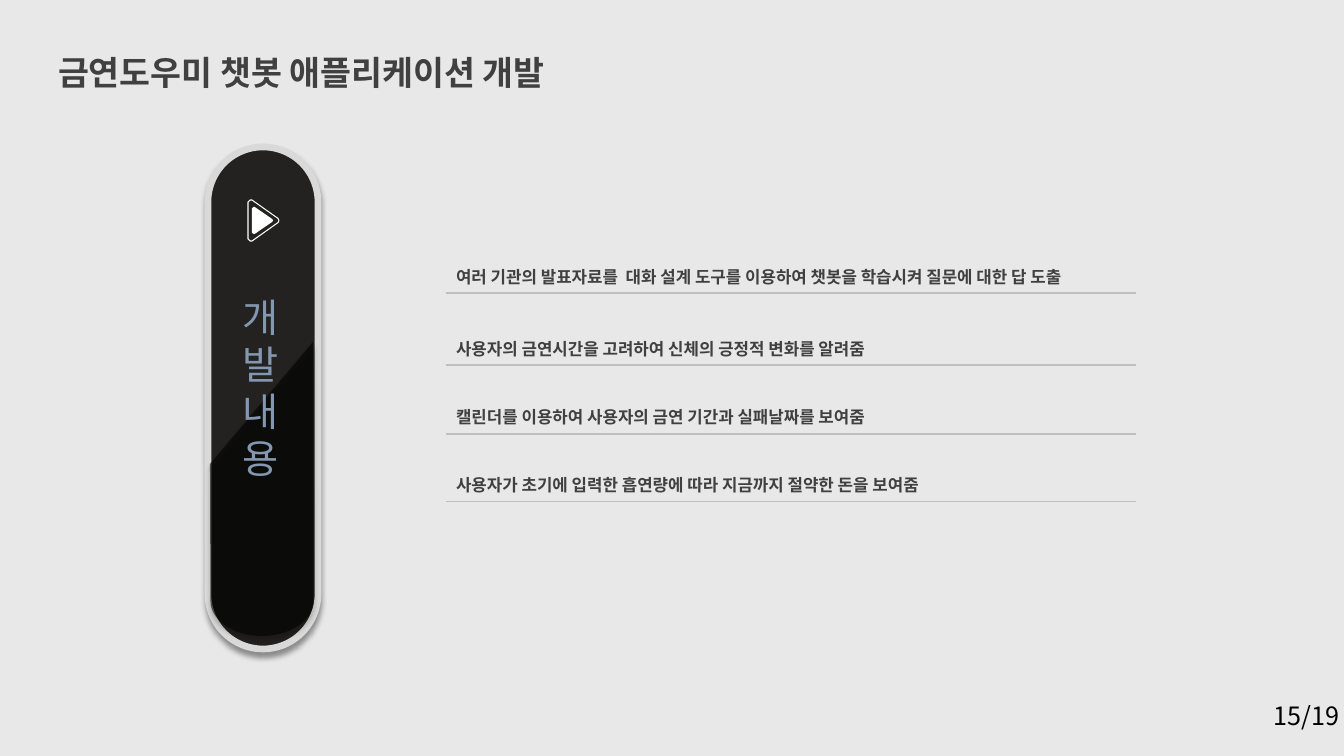
import math

from lxml import etree
from pptx import Presentation
from pptx.dml.color import RGBColor
from pptx.enum import shapes, text
from pptx.oxml import ns
from pptx.util import Pt

EMU_PER_PX = 914400 / 100.8
FONT = "Noto Sans CJK KR"
COLORS = {
    "background": "E8E8E8",
    "dark": "404040",
    "pill": "232220",
    "rim": "D9D9D9",
    "shade": "000000",
    "label": "8497B0",
    "play": "FFFFFF",
    "rule": "BFBFBF",
    "number": "000000",
}
FEATURES = [
    ("여러 기관의 발표자료를  대화 설계 도구를 이용하여 챗봇을 학습시켜 질문에 대한 답 도출", 80),
    ("사용자의 금연시간을 고려하여 신체의 긍정적 변화를 알려줌", 72),
    ("캘린더를 이용하여 사용자의 금연 기간과 실패날짜를 보여줌", 69),
    ("사용자가 초기에 입력한 흡연량에 따라 지금까지 절약한 돈을 보여줌", 68),
]
# Rounded triangle in fractions of its width and height
TRIANGLE = [(0.97, 0.45), (0.13, 0), (0.07, 0), (0, 0.05), (0, 0.95),
            (0.07, 1), (0.13, 1), (0.97, 0.55), (1, 0.5)]


def px(*lengths):
    return [round(length * EMU_PER_PX) for length in lengths]


def color(name):
    return RGBColor.from_string(COLORS[name])


def add_element(parent, tag, **attributes):
    return etree.SubElement(parent, ns.qn(tag), attributes)


def format_text(frame, size, color_name, bold=False, align=None, spacing=None):
    for paragraph in frame.paragraphs:
        paragraph.alignment = align
        paragraph.line_spacing = spacing
        for span in paragraph.runs:
            span.font.size = Pt(size)
            span.font.bold = bold
            span.font.color.rgb = color(color_name)
            span.font.name = FONT
            latin = span.font._element.find(ns.qn("a:latin"))
            east_asian = etree.Element(ns.qn("a:ea"), typeface=FONT)
            latin.addnext(east_asian)


def add_label(page, place, wording, size, color_name, align=None):
    box = page.shapes.add_textbox(*px(*place))
    box.text_frame.word_wrap = True
    box.text_frame.text = wording
    format_text(box.text_frame, size, color_name, align=align)


def set_title(page, wording):
    title = page.shapes.title
    title.left, title.top, title.width, title.height = px(48, 27, 578, 64)
    frame = title.text_frame
    frame.text = wording
    frame.word_wrap = True
    frame.auto_size = text.MSO_AUTO_SIZE.NONE
    frame.vertical_anchor = text.MSO_ANCHOR.TOP
    format_text(frame, 24, "dark", True, text.PP_ALIGN.LEFT, 1.5)


def style_shape(shape, fill=None, line=None, width=0):
    shape.shadow.inherit = False
    if fill:
        shape.fill.solid()
        shape.fill.fore_color.rgb = color(fill)
    else:
        shape.fill.background()
    if line:
        shape.line.color.rgb = color(line)
        shape.line.width = Pt(width)
    else:
        shape.line.fill.background()


def drop_shadow(shape):
    effects = shape._element.spPr.find(ns.qn("a:effectLst"))
    shadow = add_element(effects, "a:outerShdw", blurRad=str(Pt(4)), dist=str(Pt(3)),
                         dir="5400000", algn="t", rotWithShape="0")
    tint = add_element(shadow, "a:srgbClr", val=COLORS["shade"])
    add_element(tint, "a:alpha", val="40000")


def add_outline(parent, points):
    corners = [px(*point) for point in points]
    builder = parent.shapes.build_freeform(*corners[0])
    builder.add_line_segments(corners[1:], close=True)
    return builder.convert_to_shape()


def add_pill(page):
    pill = page.shapes.add_shape(shapes.MSO_SHAPE.ROUNDED_RECTANGLE, *px(208, 147, 110, 502))
    pill.adjustments[0] = 0.5
    style_shape(pill, "pill", "rim", 4.75)
    drop_shadow(pill)

    angles = [math.radians(degrees) for degrees in range(0, 181, 5)]
    bottom = [(262 + 51.5 * math.cos(a), 601 + 35 * math.sin(a)) for a in angles]
    shade = add_outline(page, [(313, 342), *bottom, (210, 464)])
    style_shape(shade, "shade")
    tint = shade._element.spPr.find(f"{ns.qn('a:solidFill')}/{ns.qn('a:srgbClr')}")
    add_element(tint, "a:alpha", val="57000")
    drop_shadow(shade)


def add_play_sign(page):
    sign = page.shapes.add_group_shape()
    for left, top, width, height, style in (
        (248, 200, 31, 41, {"line": "play", "width": 0.75}),
        (252, 207, 21, 27, {"fill": "play"}),
    ):
        points = [(left + x * width, top + y * height) for x, y in TRIANGLE]
        style_shape(add_outline(sign, points), **style)


def set_borders(cell, visible):
    properties = cell._tc.get_or_add_tcPr()
    for side in "LRTB":
        line = add_element(properties, f"a:ln{side}", w=str(Pt(1)))
        if side in visible:
            fill = add_element(line, "a:solidFill")
            add_element(fill, "a:srgbClr", val=COLORS["rule"])
        else:
            add_element(line, "a:noFill")


def add_feature_table(page):
    height = sum(row_height for _, row_height in FEATURES)
    frame = page.shapes.add_table(len(FEATURES), 1, *px(446, 213, 690, height))
    table = frame.table
    table.first_row = table.horz_banding = False
    for index, (wording, row_height) in enumerate(FEATURES):
        table.rows[index].height = px(row_height)[0]
        cell = table.cell(index, 0)
        cell.text_frame.text = wording
        cell.vertical_anchor = text.MSO_ANCHOR.BOTTOM
        format_text(cell.text_frame, 12, "dark", True)
        set_borders(cell, "TB" if index else "B")
        cell.fill.background()


def main():
    deck = Presentation()
    deck.slide_width, deck.slide_height = px(1344, 756)
    page = deck.slides.add_slide(deck.slide_layouts[5])
    page.background.fill.solid()
    page.background.fill.fore_color.rgb = color("background")
    set_title(page, "금연도우미 챗봇 애플리케이션 개발")
    add_pill(page)
    add_label(page, (208, 288, 105, 201), "개\n발\n내\n용", 28, "label", text.PP_ALIGN.CENTER)
    add_play_sign(page)
    add_feature_table(page)
    add_label(page, (1264, 695, 97, 40), "15/19", 18, "number")
    deck.save("out.pptx")


if __name__ == "__main__":
    main()
